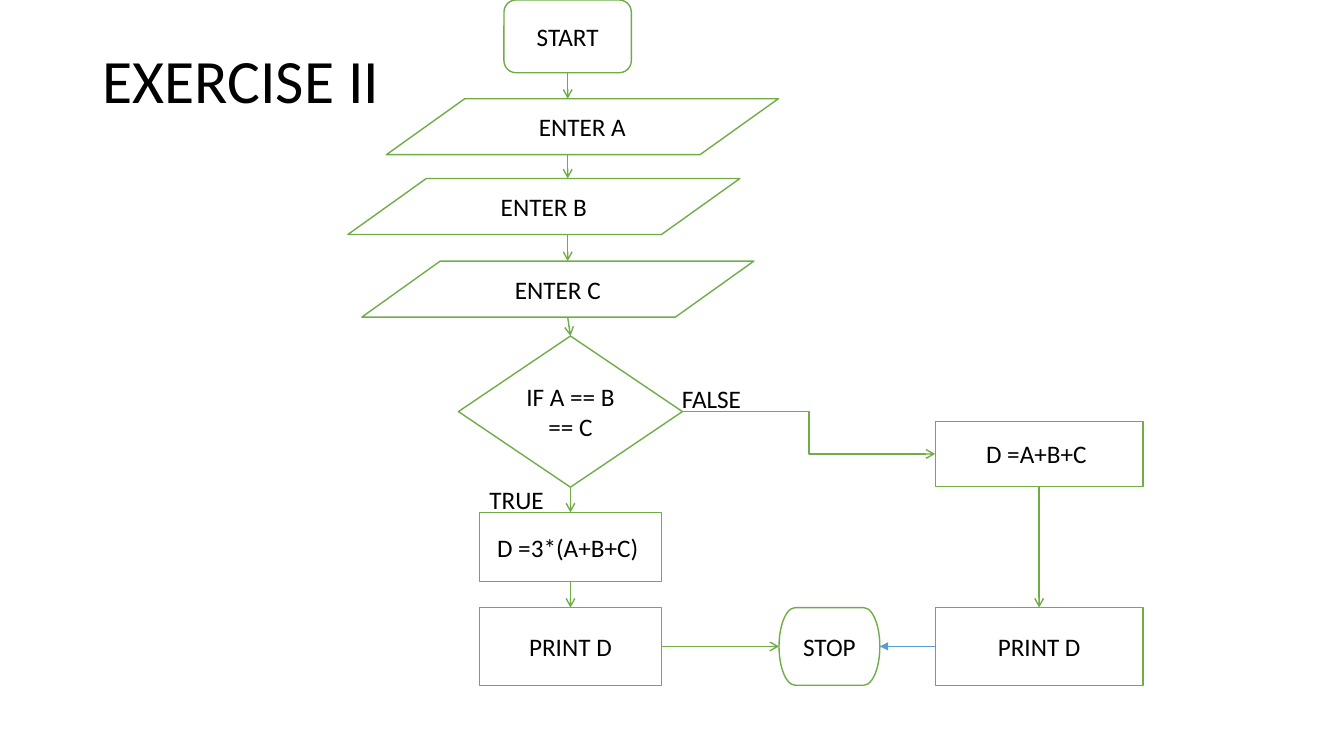
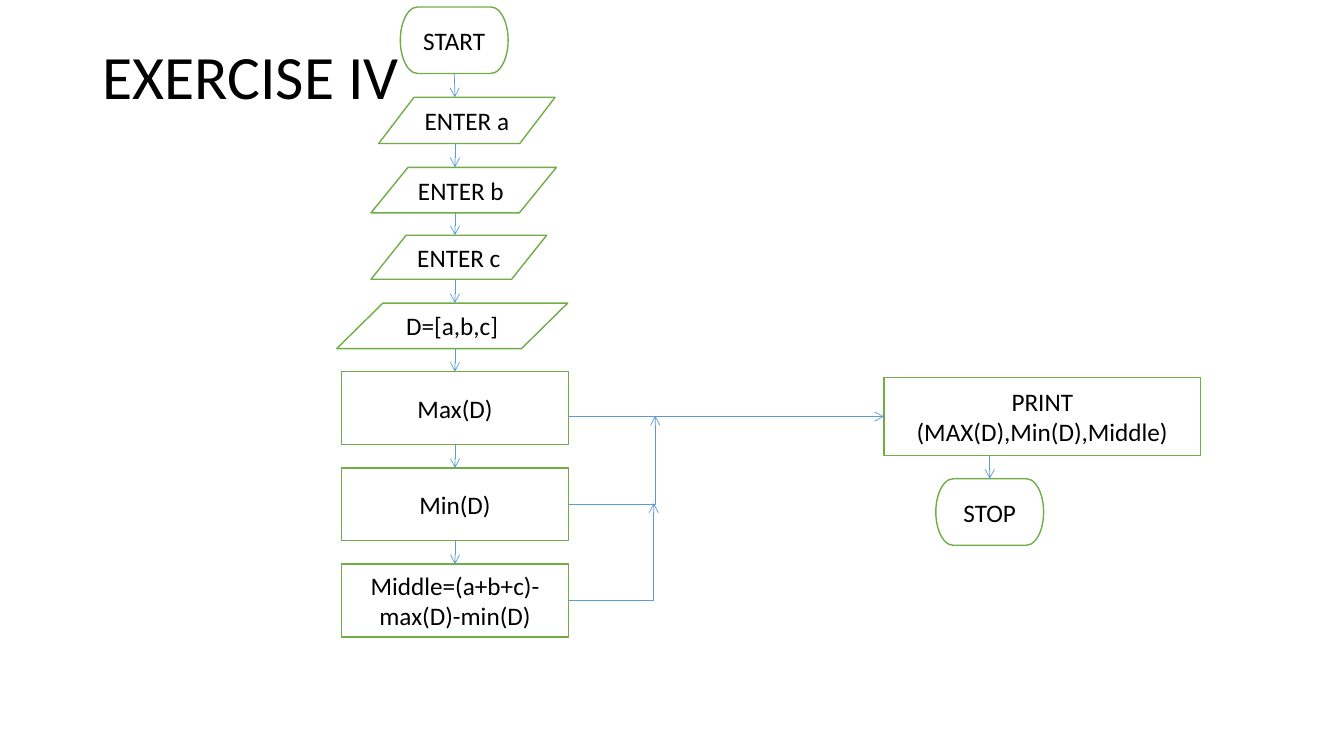
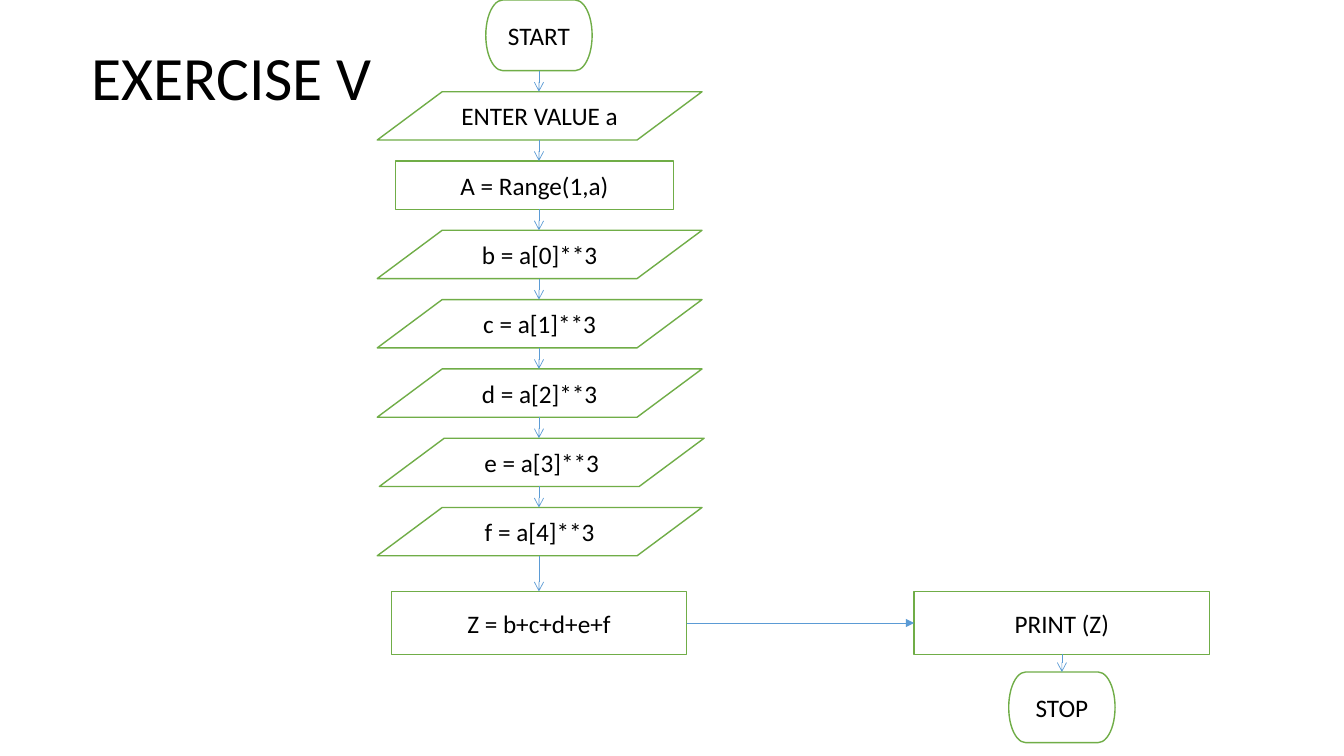
from itertools import pairwise

from lxml.etree import SubElement
from pptx import Presentation
from pptx.dml.color import RGBColor
from pptx.enum.shapes import MSO_CONNECTOR as LINK, MSO_SHAPE as SHAPE
from pptx.enum.text import MSO_ANCHOR, PP_ALIGN
from pptx.oxml.ns import qn
from pptx.util import Pt

FONT = "Calibri"
BLACK, WHITE, GREEN, BLUE = "000000", "FFFFFF", "70AD47", "5B9BD5"
DATA, PROCESS = SHAPE.FLOWCHART_DATA, SHAPE.FLOWCHART_PROCESS
TERMINATOR, DECISION = SHAPE.FLOWCHART_TERMINATOR, SHAPE.FLOWCHART_DECISION
rgb = RGBColor.from_string


def box(s, kind, text, x, y, w, h):
    """Add a flowchart step; with kind None, a plain label."""
    place = Pt(x), Pt(y), Pt(w), Pt(h)
    if kind is None:
        sp = s.shapes.add_textbox(*place)
    else:
        sp = s.shapes.add_shape(kind, *place)
        sp.shadow.inherit = False
        sp.fill.solid()
        sp.fill.fore_color.rgb = rgb(WHITE)
        sp.line.color.rgb = rgb(GREEN)
        sp.line.width = Pt(1)
    tf = sp.text_frame
    tf.word_wrap = True
    tf.text = text
    p = tf.paragraphs[0]
    if kind is not None:
        tf.vertical_anchor = MSO_ANCHOR.MIDDLE
        p.alignment = PP_ALIGN.CENTER
    font = p.runs[0].font
    font.name, font.size, font.color.rgb = FONT, Pt(18), rgb(BLACK)
    return sp


def arrow(s, start, end, color=BLUE, width=0.5, head="arrow", kind=LINK.STRAIGHT):
    """Draw an arrow; each end is a point (x, y) or a joint (shape, side)."""
    c = s.shapes.add_connector(kind, 0, 0, 0, 0)
    joined = [hasattr(where[0], "text_frame") for where in (start, end)]
    if not joined[0]:
        c.begin_x, c.begin_y = Pt(start[0]), Pt(start[1])
    if not joined[1]:
        c.end_x, c.end_y = Pt(end[0]), Pt(end[1])
    if joined[0]:
        c.begin_connect(*start)
    if joined[1]:
        c.end_connect(*end)
    c.line.color.rgb = rgb(color)
    c.line.width = Pt(width)
    SubElement(c.line._get_or_add_ln(), qn("a:tailEnd"), type=head)
    SubElement(c._element.spPr, qn("a:effectLst"))
    return c


prs = Presentation()
prs.slide_width, prs.slide_height = Pt(960), Pt(540)

slides = []
for title, x, y, h in [
    ("EXERCISE II", 66, 29, 62),
    ("EXERCISE IV", 66, 29, 56),
    ("EXERCISE V", 58, 26.5, 62),
]:
    s = prs.slides.add_slide(prs.slide_layouts[5])
    sp = s.shapes.title
    sp.left, sp.top, sp.width, sp.height = Pt(x), Pt(y), Pt(828), Pt(h)
    tf = sp.text_frame
    tf.text = title
    tf.vertical_anchor = MSO_ANCHOR.MIDDLE
    p = tf.paragraphs[0]
    p.alignment = PP_ALIGN.LEFT
    p.line_spacing = 0.9
    font = p.runs[0].font
    font.name, font.size, font.color.rgb = FONT, Pt(44), rgb(BLACK)
    slides.append(s)
equal, middle, cubes = slides

# Main column of each slide: steps from top to bottom, an arrow between neighbours
equal_steps = [
    (SHAPE.ROUNDED_RECTANGLE, "START", 360, 0, 91, 52),
    (DATA, "ENTER A", 276, 70.5, 280, 40),
    (DATA, "ENTER B", 248.5, 127.5, 280, 40),
    (DATA, "ENTER C", 258.5, 186.5, 280, 40),
    (DECISION, "IF A == B == C", 327.5, 240, 160, 108),
    (PROCESS, "D =3*(A+B+C) ", 342.5, 366, 130, 49.5),
    (PROCESS, "PRINT D", 342.5, 434, 130, 55.5),
]
middle_steps = [
    (TERMINATOR, "START", 286, 5, 77, 47.5),
    (DATA, "ENTER a", 270.5, 69.5, 126, 33),
    (DATA, "ENTER b ", 265, 119.5, 132.5, 32.5),
    (DATA, "ENTER c", 265, 168, 125.5, 31.5),
    (DATA, "D=[a,b,c]", 240.5, 216.5, 165, 32.5),
]
for i, text in enumerate(["Max(D)", "Min(D)", "Middle=(a+b+c)-max(D)-min(D)"]):
    middle_steps.append((PROCESS, text, 244, 265.5 + i * 68.75, 162, 52))

cube_steps = [
    (TERMINATOR, "START", 347, 0, 76, 50.5),
    (DATA, "ENTER VALUE a", 269.5, 65.5, 232, 34.5),
    (PROCESS, "A = Range(1,a)", 282.5, 115, 198.5, 34.5),
]
for i, name in enumerate("bcdef"):
    x = 271 if name == "e" else 269.5
    cube_steps.append((DATA, f"{name} = a[{i}]**3", x, 164.5 + i * 49.5, 232, 34.5))
cube_steps.append((PROCESS, "Z = b+c+d+e+f", 279.5, 422.5, 211, 45))

columns = []
for s, axis, color, width, steps in [
    (equal, 405.5, GREEN, 1, equal_steps),
    (middle, 325, BLUE, 0.5, middle_steps),
    (cubes, 385, BLUE, 0.5, cube_steps),
]:
    column = [box(s, *step) for step in steps]
    for upper, lower in pairwise(column):
        ends = []
        for sp, side, y in [(upper, 2, upper.top + upper.height), (lower, 0, lower.top)]:
            offset = abs((sp.left + sp.width / 2) / Pt(1) - axis)
            centred = sp.auto_shape_type != DATA and offset < 3
            ends.append((sp, side) if centred else (axis, y / Pt(1)))
        arrow(s, *ends, color, width)
    columns.append(column)

# Exercise II: the false branch and the end
decision, _, print_true = columns[0][-3:]
total = box(equal, PROCESS, "D =A+B+C ", 668, 301, 148.5, 46.5)
print_false = box(equal, PROCESS, "PRINT D", 668, 434, 148.5, 55.5)
stop = box(equal, TERMINATOR, "STOP", 556.5, 434, 72, 55.5)
box(equal, None, "TRUE", 342.5, 342.5, 78, 29)
box(equal, None, "FALSE", 480, 270.5, 78, 29)
arrow(equal, (decision, 3), (total, 1), GREEN, 1, kind=LINK.ELBOW)
arrow(equal, (total, 2), (print_false, 0), GREEN, 1)
arrow(equal, (print_true, 3), (stop, 1), GREEN, 1)
arrow(equal, (print_false, 1), (stop, 3), head="triangle")

# Exercise IV: the three results join on the way to the output
_, smallest, between = columns[1][-3:]
output = box(middle, PROCESS, "PRINT (MAX(D),Min(D),Middle)", 631.5, 269.5, 226, 56)
stop = box(middle, TERMINATOR, "STOP", 668.5, 342, 77, 47.5)
arrow(middle, (406, 297.5), (output, 1))
arrow(middle, (707, 325.5), (stop, 0))
for sp, corner in [(smallest, (468, 297)), (between, (467, 359.5))]:
    c = arrow(middle, (sp, 3), corner, kind=LINK.ELBOW)
    c._element.spPr.find(qn("a:prstGeom")).set("prst", "bentConnector2")

# Exercise V: the output
output = box(cubes, PROCESS, "PRINT (Z)", 653, 422.5, 211, 45)
stop = box(cubes, TERMINATOR, "STOP", 720.5, 480, 76, 50.5)
arrow(cubes, (columns[2][-1], 3), (output, 1), head="triangle")
arrow(cubes, (output, 2), (stop, 0))

prs.save("out.pptx")
